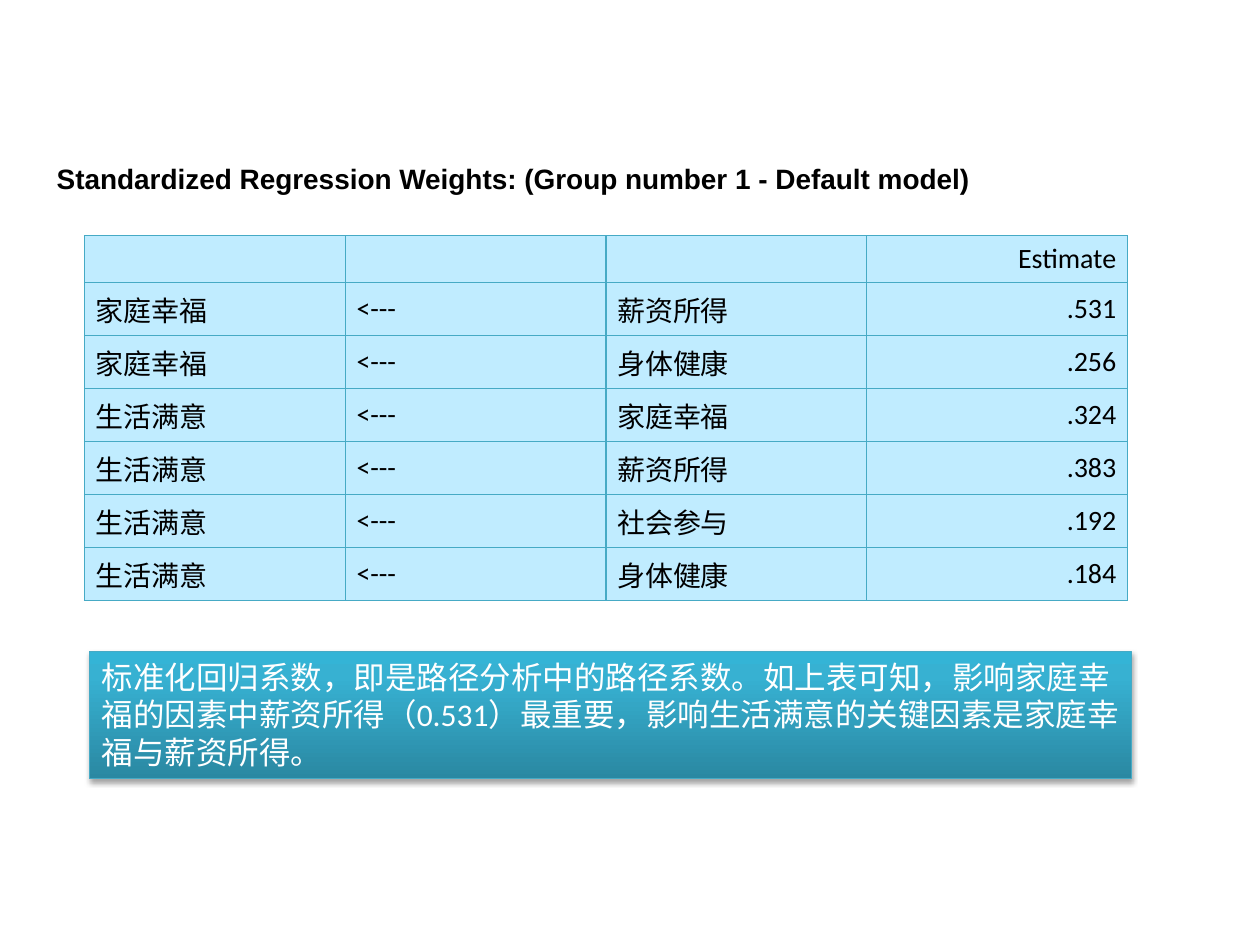
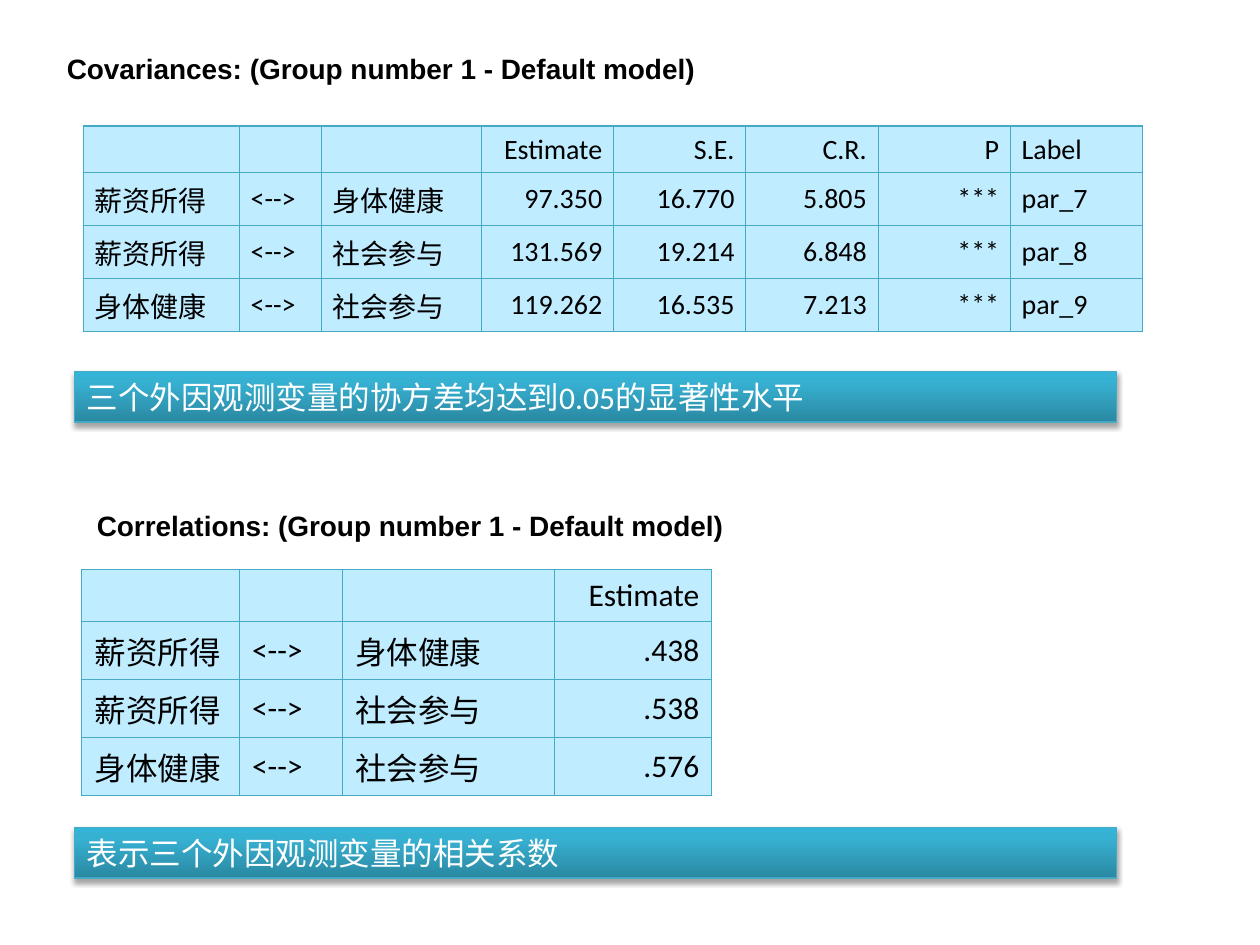
from copy import deepcopy
from dataclasses import dataclass

from lxml import etree
from pptx import Presentation
from pptx.dml.color import RGBColor
from pptx.enum.shapes import MSO_SHAPE
from pptx.enum.text import MSO_ANCHOR, MSO_AUTO_SIZE, PP_ALIGN
from pptx.oxml.ns import qn
from pptx.util import Inches, Pt

RECT = MSO_SHAPE.RECTANGLE
TOP, MIDDLE = MSO_ANCHOR.TOP, MSO_ANCHOR.MIDDLE
LEFT, RIGHT = PP_ALIGN.LEFT, PP_ALIGN.RIGHT
FIXED = MSO_AUTO_SIZE.NONE
TITLE_ONLY = 5
VALUES = range(3, 7)  # columns set flush right


@dataclass(frozen=True)
class Theme:
    ink: str = "000000"
    paper: str = "FFFFFF"
    cell: str = "C0ECFF"
    edge: str = "46AAC5"
    fade: tuple = ((0, "2A88A2"), (0.8, "37B1D2"), (1, "34B4D6"))
    head_font: str = "Arial"
    body_font: str = "Calibri"
    head_size: int = 16
    note_size: int = 18
    rule: float = 0.75


def add_node(parent, tag, **attrs):
    node = etree.SubElement(parent, qn(tag))
    for key, value in attrs.items():
        node.set(key, str(value))
    return node


class Deck:
    def __init__(self, theme):
        self.theme = theme
        self.prs = Presentation()
        self.prs.slide_width = Inches(10)
        self.prs.slide_height = Inches(7.5)
        self.slide = None

    def set_text(self, frame, text, face, size, color, bold=False, align=LEFT):
        frame.text = text
        para = frame.paragraphs[0]
        para.alignment = align
        font = para.font
        font.name, font.size, font.bold = face, Pt(size), bold
        font.color.rgb = RGBColor.from_string(color)

    def style_head(self, shape, text):
        frame = shape.text_frame
        frame.word_wrap = True
        frame.auto_size = FIXED
        frame.vertical_anchor = TOP
        look = self.theme
        self.set_text(frame, text, look.head_font, look.head_size, look.ink, True)

    def title(self, text, left, top, width):
        """Start a slide and place its title."""
        layout = self.prs.slide_layouts[TITLE_ONLY]
        self.slide = self.prs.slides.add_slide(layout)
        shape = self.slide.shapes.title
        shape.left, shape.top = Inches(left), Inches(top)
        shape.width, shape.height = Inches(width), Inches(0.36)
        self.style_head(shape, text)

    def heading(self, text, left, top, width):
        box = self.slide.shapes.add_textbox(
            Inches(left), Inches(top), Inches(width), Inches(0.36))
        self.style_head(box, text)

    def border(self, cell):
        props = cell._tc.get_or_add_tcPr()
        for side in ("a:lnL", "a:lnR", "a:lnT", "a:lnB"):
            line = add_node(props, side, w=Pt(self.theme.rule))
            fill = add_node(line, "a:solidFill")
            add_node(fill, "a:srgbClr", val=self.theme.edge)

    def table(self, data, left, top, widths, head, row, size, inset):
        heights = [head] + [row] * (len(data) - 1)
        grid = self.slide.shapes.add_table(
            len(data), len(widths), Inches(left), Inches(top),
            Inches(sum(widths)), Inches(sum(heights))).table
        grid.first_row = grid.horz_banding = False
        for col, width in zip(grid.columns, widths):
            col.width = Inches(width)
        for line, height in zip(grid.rows, heights):
            line.height = Inches(height)
        look = self.theme
        for r, texts in enumerate(data):
            for c, text in enumerate(texts):
                cell = grid.cell(r, c)
                cell.margin_left = cell.margin_right = Inches(inset)
                cell.vertical_anchor = MIDDLE
                self.border(cell)
                cell.fill.solid()
                cell.fill.fore_color.rgb = RGBColor.from_string(look.cell)
                align = RIGHT if c in VALUES else LEFT
                self.set_text(cell.text_frame, text, look.body_font, size,
                              look.ink, align=align)

    def shade(self, shape):
        """Fill with the upward fade and add a soft shadow below."""
        fill = shape.fill
        fill.gradient()
        fill.gradient_angle = 90
        stops = shape._element.spPr.find(qn("a:gradFill")).find(qn("a:gsLst"))
        stops.append(deepcopy(stops[0]))
        for stop, (place, color) in zip(fill.gradient_stops, self.theme.fade):
            stop.position = place
            stop.color.rgb = RGBColor.from_string(color)
        shape.shadow.inherit = False
        effects = shape._element.spPr.find(qn("a:effectLst"))
        cast = add_node(effects, "a:outerShdw", blurRad=Pt(3.1), dist=Pt(1.8),
                        dir=5400000, rotWithShape=0)
        tint = add_node(cast, "a:srgbClr", val=self.theme.ink)
        add_node(tint, "a:alpha", val=35000)

    def note(self, text, left, top, height=0.4):
        look = self.theme
        shape = self.slide.shapes.add_shape(
            RECT, Inches(left), Inches(top), Inches(8.27), Inches(height))
        self.shade(shape)
        shape.line.color.rgb = RGBColor.from_string(look.edge)
        shape.line.width = Pt(look.rule)
        frame = shape.text_frame
        frame.word_wrap = True
        frame.vertical_anchor = TOP
        self.set_text(frame, text, look.body_font, look.note_size, look.paper)


def main():
    pay, fit, social = "薪资所得", "身体健康", "社会参与"
    home, life = "家庭幸福", "生活满意"
    pairs = [(pay, "<-->", fit), (pay, "<-->", social), (fit, "<-->", social)]
    blank = ("", "", "")
    deck = Deck(Theme())

    deck.title("Standardized Regression Weights: (Group number 1 - Default model)",
               0.35, 1.23, 7.55)
    paths = [(home, pay, ".531"), (home, fit, ".256"), (life, home, ".324"),
             (life, pay, ".383"), (life, social, ".192"), (life, fit, ".184")]
    weights = [(*blank, "Estimate")]
    weights += [(effect, "<---", cause, value) for effect, cause, value in paths]
    deck.table(weights, 0.67, 1.87, [2.07] * 4, 0.36, 0.41, 16, 0.09)
    deck.note("标准化回归系数，即是路径分析中的路径系数。如上表可知，影响家庭幸福的因素中"
              "薪资所得（0.531）最重要，影响生活满意的关键因素是家庭幸福与薪资所得。",
              0.71, 5.17, 1.01)

    deck.title("Covariances: (Group number 1 - Default model)", 0.43, 0.36, 5.26)
    stats = [("97.350", "16.770", "5.805", "***", "par_7"),
             ("131.569", "19.214", "6.848", "***", "par_8"),
             ("119.262", "16.535", "7.213", "***", "par_9")]
    covars = [(*blank, "Estimate", "S.E.", "C.R.", "P", "Label")]
    covars += [pair + stat for pair, stat in zip(pairs, stats)]
    deck.table(covars, 0.66, 1, [1.24, 0.65, 1.27] + [1.05] * 5,
               0.36, 0.41, 16, 0.09)
    deck.note("三个外因观测变量的协方差均达到0.05的显著性水平", 0.59, 2.95)

    deck.heading("Correlations: (Group number 1 - Default model)", 0.67, 3.99, 5.25)
    corrs = [(*blank, "Estimate")]
    corrs += [(*pair, value) for pair, value in zip(pairs, (".438", ".538", ".576"))]
    deck.table(corrs, 0.65, 4.52, [1.25, 0.82, 1.68, 1.25], 0.41, 0.46, 18, 0.1)
    deck.note("表示三个外因观测变量的相关系数", 0.59, 6.57)

    deck.prs.save("out.pptx")


if __name__ == "__main__":
    main()
